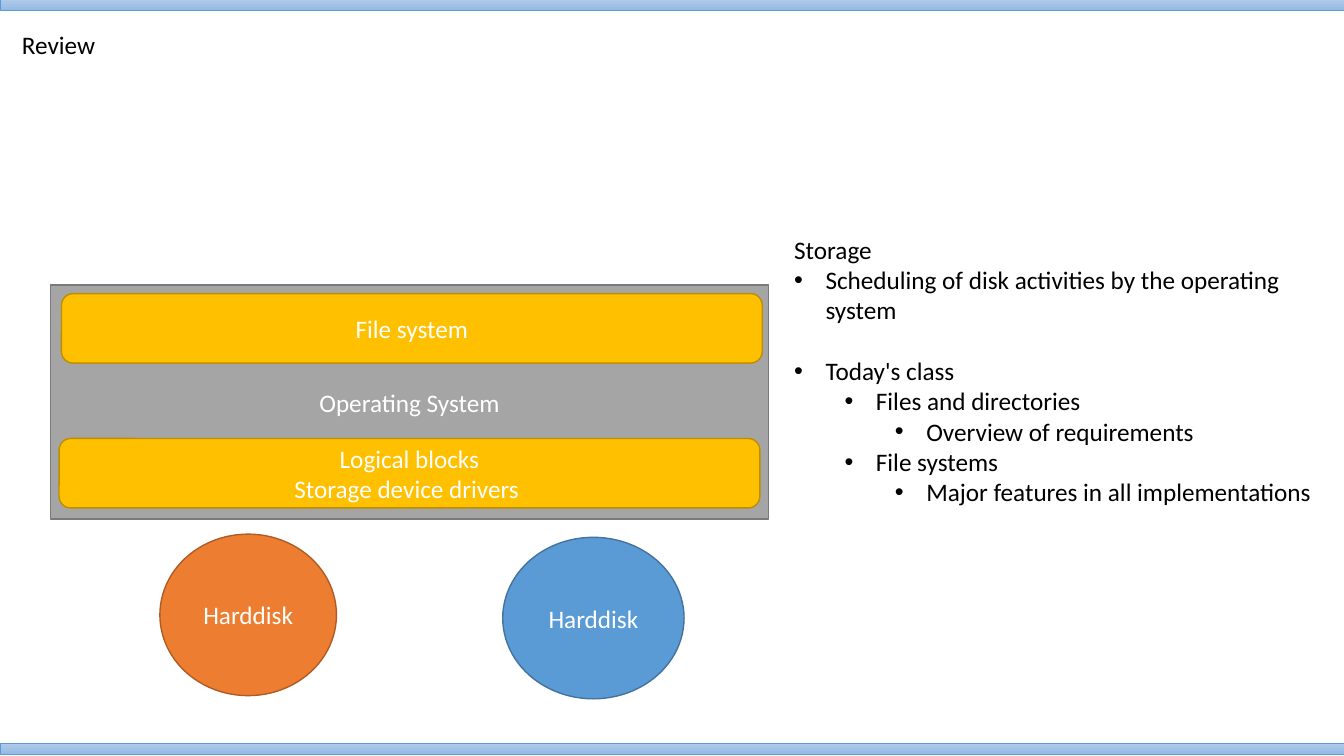
"""Build the storage review slide: an operating system stack and a topic list."""
from lxml.etree import SubElement
from pptx import Presentation
from pptx.dml.color import RGBColor
from pptx.enum.shapes import MSO_SHAPE as SHAPE
from pptx.enum.text import MSO_ANCHOR as ANCHOR, MSO_AUTO_SIZE as AUTO, PP_ALIGN as ALIGN
from pptx.oxml.ns import qn
from pptx.util import Cm, Pt

COLORS = {
    "text": "000000", "label": "FFFFFF",
    "bar_start": "B1CBE9", "bar_end": "93B9E4", "bar_line": "5B9BD5",
    "orange": "ED7D31", "orange_line": "AF5C24",
    "blue": "5B9BD5", "blue_line": "43739E",
    "gray": "A5A5A5", "gray_line": "7A7A7A",
    "gold": "FFC000", "gold_line": "BD8E00",
}
TITLE = "Review"
TITLE_BOX = (0.3, 0.61, 31.19, 1.07)
TOPICS_BOX = (19.76, 5.77, 13.59, 7.92)
HEADING = None
TOPICS = [
    (HEADING, 0, "Storage"),
    (0, 0, "Scheduling of disk activities by the operating system"),
    (0, 22, "Today's class"),
    (1, 0, "Files and directories"),
    (2, 0, "Overview of requirements"),
    (1, 0, "File systems"),
    (2, 0, "Major features in all implementations"),
]
BLOCKS = [
    (SHAPE.OVAL, (4.03, 13.46, 4.45, 4.07), "orange", ["Harddisk"]),
    (SHAPE.OVAL, (12.67, 13.54, 4.57, 4.07), "blue", ["Harddisk"]),
    (SHAPE.RECTANGLE, (1.27, 7.18, 18.1, 5.9), "gray", ["Operating System"]),
    (SHAPE.ROUNDED_RECTANGLE, (1.49, 11.05, 17.66, 1.75), "gold",
     ["Logical blocks", "Storage device drivers "]),
    (SHAPE.ROUNDED_RECTANGLE, (1.55, 7.4, 17.66, 1.75), "gold", ["File system"]),
]
BAR_TOPS = (-0.02, 18.73)
BAR_HEIGHT = 0.28
SLIDE_WIDTH, SLIDE_HEIGHT = 33.87, 19.05
BULLET_INDENT, LEVEL_STEP = 0.79, 1.27


def rgb(name):
    return RGBColor.from_string(COLORS[name])


def add_run(p, text, color):
    r = p.add_run()
    r.text = text
    r.font.size = Pt(18)
    r.font.name = "Calibri"
    r.font.color.rgb = rgb(color)


def next_paragraph(tf, i):
    return tf.add_paragraph() if i else tf.paragraphs[0]


def add_shape(slide, kind, box, line, width):
    sp = slide.shapes.add_shape(kind, *map(Cm, box))
    sp.shadow.inherit = False
    sp.line.color.rgb = rgb(line)
    sp.line.width = Pt(width)
    return sp


def add_bar(slide, top):
    sp = add_shape(slide, SHAPE.RECTANGLE, (0, top, SLIDE_WIDTH, BAR_HEIGHT), "bar_line", 0.5)
    sp.fill.gradient()
    sp.fill.gradient_angle = 270
    for stop, name in zip(sp.fill.gradient_stops, ("bar_start", "bar_end")):
        stop.color.rgb = rgb(name)


def add_block(slide, kind, box, color, lines):
    sp = add_shape(slide, kind, box, color + "_line", 1)
    sp.fill.solid()
    sp.fill.fore_color.rgb = rgb(color)
    tf = sp.text_frame
    tf.word_wrap = True
    tf.vertical_anchor = ANCHOR.MIDDLE
    for i, line in enumerate(lines):
        p = next_paragraph(tf, i)
        p.alignment = ALIGN.CENTER
        add_run(p, line, "label")


def place(sp, box):
    sp.left, sp.top, sp.width, sp.height = map(Cm, box)
    tf = sp.text_frame
    tf.word_wrap = True
    tf.auto_size = AUTO.NONE
    tf.vertical_anchor = ANCHOR.TOP
    return tf


def set_bullet(p, level):
    pPr = p._p.get_or_add_pPr()
    if level is HEADING:
        pPr.set("marL", "0")
        pPr.set("indent", "0")
        SubElement(pPr, qn("a:buNone"))
        return
    p.level = level
    pPr.set("marL", str(Cm(BULLET_INDENT + level * LEVEL_STEP)))
    pPr.set("indent", str(-Cm(BULLET_INDENT)))
    SubElement(pPr, qn("a:buFont"), typeface="Arial")
    SubElement(pPr, qn("a:buChar"), char="•")


def main():
    prs = Presentation()
    prs.slide_width, prs.slide_height = Cm(SLIDE_WIDTH), Cm(SLIDE_HEIGHT)
    slide = prs.slides.add_slide(prs.slide_layouts[1])
    title, body = slide.placeholders

    p = place(title, TITLE_BOX).paragraphs[0]
    p.alignment = ALIGN.LEFT
    add_run(p, TITLE, "text")

    tf = place(body, TOPICS_BOX)
    for i, (level, gap, text) in enumerate(TOPICS):
        p = next_paragraph(tf, i)
        set_bullet(p, level)
        p.space_before = Pt(gap)
        add_run(p, text, "text")

    for top in BAR_TOPS:
        add_bar(slide, top)
    for block in BLOCKS:
        add_block(slide, *block)
    prs.save("out.pptx")


if __name__ == "__main__":
    main()
